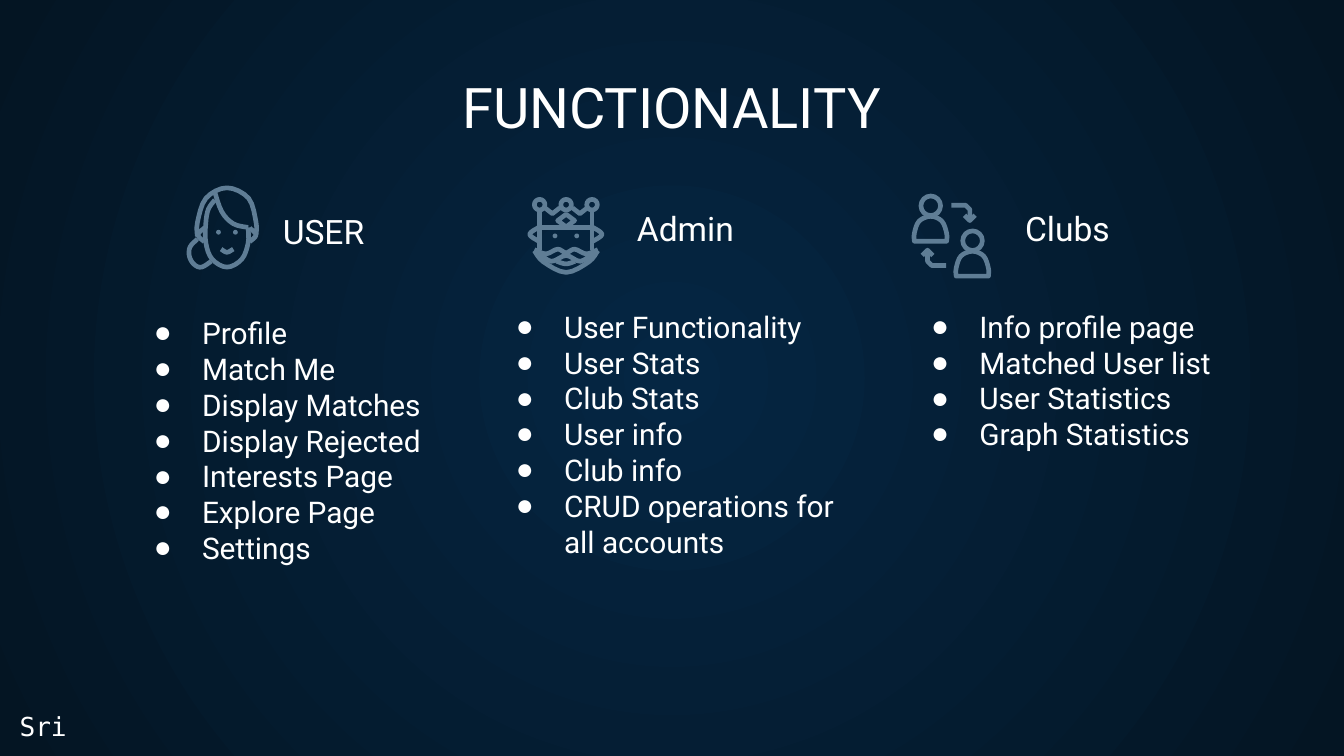
from math import cos, pi, sin

from lxml.etree import SubElement
from pptx import Presentation
from pptx.dml.color import RGBColor
from pptx.enum.shapes import MSO_SHAPE
from pptx.enum.text import MSO_ANCHOR, PP_ALIGN
from pptx.oxml.ns import qn
from pptx.util import Cm, Pt

WHITE = RGBColor(0xFF, 0xFF, 0xFF)
NAVY = RGBColor(0x05, 0x26, 0x43)
DARK = RGBColor(0x04, 0x15, 0x23)
STEEL = RGBColor(0x5F, 0x7D, 0x95)


def paint_background(s):
    fill = s.background.fill
    fill.gradient()
    for stop, color, position in zip(fill.gradient_stops, (NAVY, DARK), (0, 1)):
        stop.color.rgb = color
        stop.position = position
    grad = s.element.find(".//" + qn("a:gradFill"))
    grad.remove(grad.find(qn("a:lin")))
    circle = SubElement(grad, qn("a:path"), path="circle")
    SubElement(circle, qn("a:fillToRect"), l="50000", t="50000", r="50000", b="50000")


def add_bullet(p):
    pPr = p._p.get_or_add_pPr()
    pPr.set("marL", str(Cm(1.27)))
    pPr.set("indent", str(Cm(-0.91)))
    color = SubElement(pPr, qn("a:buClr"))
    SubElement(color, qn("a:srgbClr"), val=str(WHITE))
    SubElement(pPr, qn("a:buFont"), typeface="Arial")
    SubElement(pPr, qn("a:buChar"), char="●")


def add_text(s, x, y, w, h, lines, size, font="Roboto", align=PP_ALIGN.LEFT,
             anchor=MSO_ANCHOR.TOP, bullets=False):
    tf = s.shapes.add_textbox(Cm(x), Cm(y), Cm(w), Cm(h)).text_frame
    tf.word_wrap = True
    tf.vertical_anchor = anchor
    tf.margin_left = tf.margin_right = tf.margin_top = tf.margin_bottom = Cm(0.25)
    for i, line in enumerate(lines):
        p = tf.paragraphs[0] if i == 0 else tf.add_paragraph()
        if bullets:
            add_bullet(p)
        p.alignment = align
        r = p.add_run()
        r.text = line
        r.font.size = Pt(size)
        r.font.name = font
        r.font.color.rgb = WHITE


def add_heading(s, x, y, w, h, text, size):
    add_text(s, x, y, w, h, [text], size, align=PP_ALIGN.CENTER, anchor=MSO_ANCHOR.BOTTOM)


def smooth(points, steps=4):
    ends = [points[0]] + points + [points[-1]]
    curve = [points[0]]
    for a, b, c, d in zip(ends, ends[1:], ends[2:], ends[3:]):
        for k in range(1, steps + 1):
            t = k / steps
            curve.append(tuple(
                (2 * q + (r - p) * t + (2 * p - 5 * q + 4 * r - u) * t ** 2
                 + (3 * q - p - 3 * r + u) * t ** 3) / 2
                for p, q, r, u in zip(a, b, c, d)))
    return curve


def ring(cx, cy, d, n=16):
    return [(cx + d / 2 * cos(2 * pi * k / n), cy + d / 2 * sin(2 * pi * k / n))
            for k in range(n + 1)]


def draw_outline(s, x, y, lines):
    lines = [[(Cm(x + px), Cm(y + py)) for px, py in line] for line in lines]
    builder = s.shapes.build_freeform(*lines[0][0])
    for i, line in enumerate(lines):
        if i:
            builder.move_to(*line[0])
        builder.add_line_segments(line[1:], close=line[0] == line[-1])
    sp = builder.convert_to_shape()
    sp.shadow.inherit = False
    sp.fill.background()
    sp.line.color.rgb = STEEL
    sp.line.width = Pt(2.5)


def draw_eyes(s, y, centers, d=0.09):
    for x in centers:
        sp = s.shapes.add_shape(MSO_SHAPE.OVAL, Cm(x - d / 2), Cm(y - d / 2), Cm(d), Cm(d))
        sp.shadow.inherit = False
        sp.fill.solid()
        sp.fill.fore_color.rgb = STEEL
        sp.line.fill.background()


def draw_user(s, x, y):
    hair = [(0.2, 0.97), (0.2, 0.71), (0.36, 0.25), (0.76, 0.05),
            (1.17, 0.25), (1.31, 0.71), (1.31, 0.94)]
    face = [(0.53, 0.28), (0.41, 0.45), (0.36, 0.71), (0.36, 1.09), (0.48, 1.4),
            (0.76, 1.55), (1.04, 1.4), (1.16, 1.09), (1.16, 0.8)]
    fringe = [(0.52, 0.1), (0.66, 0.5), (0.88, 0.73), (1.16, 0.8)]
    bun = [(0.2, 1.02), (0.06, 1.17), (0.05, 1.35), (0.14, 1.5), (0.28, 1.55), (0.46, 1.44)]
    smile = [(0.65, 1.21), (0.76, 1.27), (0.88, 1.21)]
    ears = [[(a, 0.81), (b, 0.94), (a, 1.07)] for a, b in ((0.33, 0.21), (1.19, 1.31))]
    draw_outline(s, x, y, [smooth(line) for line in (hair, face, fringe, bun, *ears)])
    draw_eyes(s, y + 0.89, (x + 0.6, x + 0.92))
    draw_outline(s, x, y, [smooth(smile)])


def draw_admin(s, x, y):
    balls = [ring(cx, 0.13, 0.2) for cx in (0.24, 0.74, 1.23)]
    sides = [[(side, 0.22), (side, 0.99)] for side in (0.24, 1.23)]
    dips = [[(dip - 0.14, 0.19), (dip, 0.3), (dip + 0.14, 0.19)] for dip in (0.48, 1)]
    band = [(0.24, 0.56), (1.23, 0.56)]
    jewel = [(0.74, 0.31), (0.58, 0.43), (0.74, 0.55), (0.9, 0.43), (0.74, 0.31)]
    ears = [[(a, 0.56), (b, 0.69), (a, 0.82)] for a, b in ((0.22, 0.05), (1.25, 1.42))]
    beard = [(0.14, 1), (0.31, 1.21), (0.74, 1.41), (1.17, 1.21), (1.34, 1)]
    moustache_top = [(0.14, 0.98), (0.36, 1.06), (0.58, 0.97), (0.74, 1.04),
                     (0.9, 0.97), (1.12, 1.06), (1.34, 0.98)]
    moustache_base = [(0.22, 1.04), (0.46, 1.2), (0.74, 1.09), (1.01, 1.2), (1.26, 1.04)]
    mouth = [(0.56, 1.2), (0.74, 1.25), (0.91, 1.2)]
    curves = [smooth(line) for line in (*ears, beard, moustache_top, moustache_base, mouth)]
    draw_eyes(s, y + 0.72, (x + 0.53, x + 0.94))
    draw_outline(s, x, y, [*balls, *sides, *dips, band, jewel, *curves])


def draw_clubs(s, x, y):
    shaft = [(0.75, 0.23), (1.02, 0.23), (1.1, 0.31), (1.1, 0.52)]
    tip = [(1, 0.42), (1.1, 0.52), (1.2, 0.42)]
    arrow = [shaft, tip]
    draw_outline(s, x, y, arrow)
    draw_outline(s, x, y, [[(1.4 - px, 1.6 - py) for px, py in line] for line in arrow])
    body = smooth([(0.05, 0.91), (0.05, 0.76), (0.14, 0.53), (0.36, 0.44),
                   (0.57, 0.53), (0.66, 0.76), (0.66, 0.91)])
    for dx, dy in ((0, 0), (0.79, 0.66)):
        draw_outline(s, x + dx, y + dy, [ring(0.36, 0.24, 0.37), body + body[:1]])


def add_column(s, x, y, w, heading, heading_dx, items, list_dy, draw_icon, icon_dx, icon_dy):
    add_text(s, x, y + list_dy, w, 7.37, items, 16, bullets=True)
    add_heading(s, x + heading_dx, y, 6.83, 0.97, heading, 18)
    draw_icon(s, x + icon_dx, y + icon_dy)


def main():
    prs = Presentation()
    prs.slide_width, prs.slide_height = Cm(25.4), Cm(14.29)
    s = prs.slides.add_slide(prs.slide_layouts[6])
    paint_background(s)
    add_heading(s, 0.86, 1.22, 23.67, 1.68, "FUNCTIONALITY", 30)
    add_column(s, 2.3, 4.03, 6.17, "USER", 0.4,
               ["Profile", "Match Me", "Display Matches", "Display Rejected",
                "Interests Page", "Explore Page", "Settings"], 1.67,
               draw_user, 1.23, -0.53)
    add_column(s, 9.14, 3.97, 7.01, "Admin", 0.4,
               ["User Functionality", "User Stats", "Club Stats", "User info",
                "Club info", "CRUD operations for all accounts"], 1.61,
               draw_admin, 0.82, -0.23)
    add_column(s, 16.99, 3.97, 6.63, "Clubs", -0.23,
               ["Info profile page", "Matched User list", "User Statistics",
                "Graph Statistics"], 1.61,
               draw_clubs, 0.24, -0.32)
    add_text(s, 0.12, 13.18, 1.9, 0.99, ["Sri"], 14, font="DejaVu Sans Mono")
    prs.save("out.pptx")


if __name__ == "__main__":
    main()
